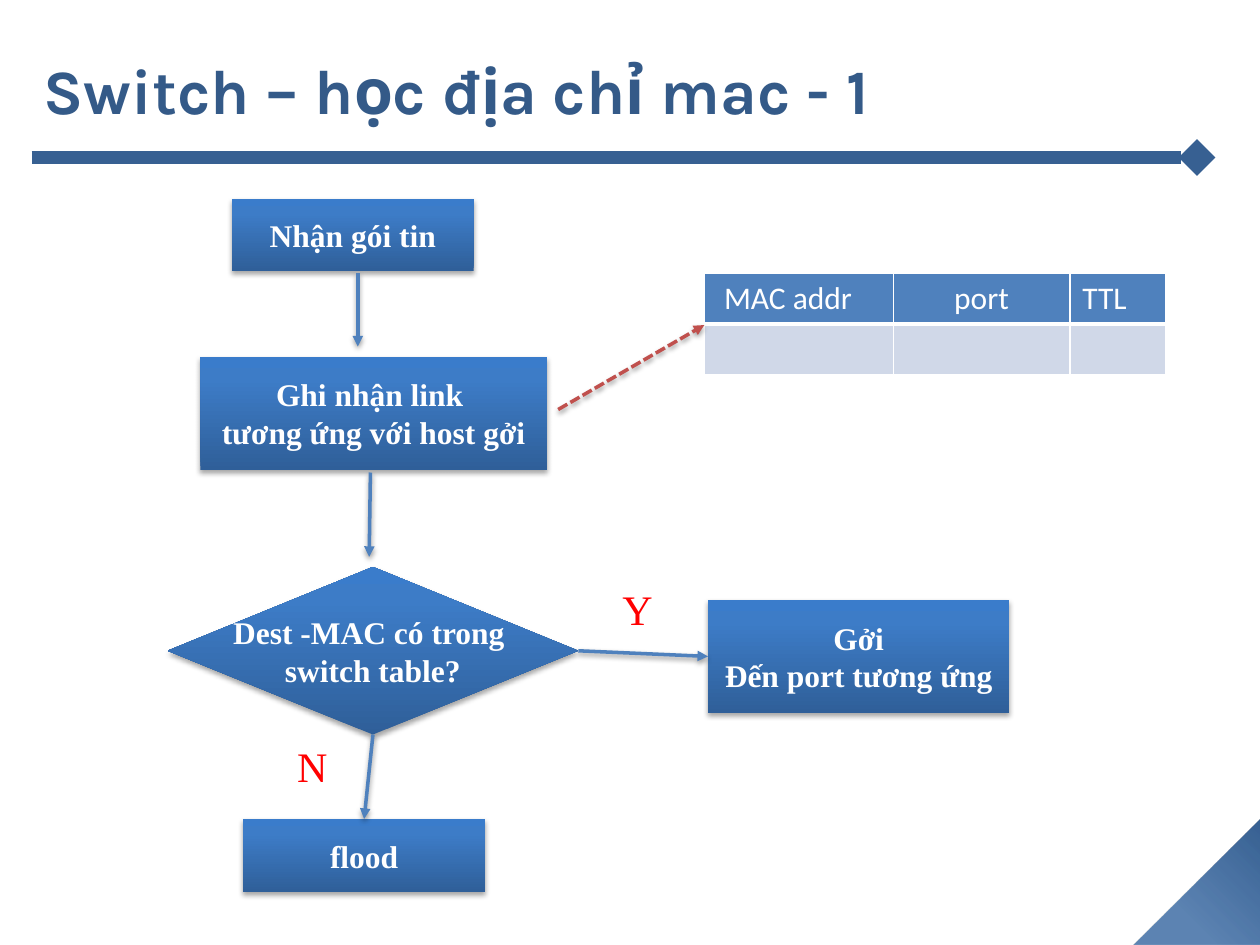
from typing import NamedTuple, Optional

from lxml import etree
from pptx import Presentation
from pptx.dml.color import RGBColor
from pptx.enum.dml import MSO_LINE
from pptx.enum.shapes import MSO_CONNECTOR, MSO_SHAPE
from pptx.enum.text import MSO_ANCHOR, MSO_AUTO_SIZE, PP_ALIGN
from pptx.oxml import parse_xml
from pptx.oxml.ns import nsdecls, qn
from pptx.util import Inches, Pt

RECT, DIAMOND = MSO_SHAPE.RECTANGLE, MSO_SHAPE.DIAMOND
CORNER = MSO_SHAPE.RIGHT_TRIANGLE
STRAIGHT = MSO_CONNECTOR.STRAIGHT
DASHED = MSO_LINE.SQUARE_DOT
MIDDLE = MSO_ANCHOR.MIDDLE
LEFT, CENTER = PP_ALIGN.LEFT, PP_ALIGN.CENTER
TOP_SIDE, LEFT_SIDE, BOTTOM_SIDE, RIGHT_SIDE = range(4)

SERIF = "Times New Roman"
COLORS = {
    "title": "345A88",
    "rule": "376092",
    "corner_light": "3D6CA4",
    "step_dark": "2F5F99",
    "step_mid": "3D7CC7",
    "step_light": "3A7CCB",
    "arrow": "4F81BD",
    "table_arrow": "C0504D",
    "answer": "FF0000",
    "header": "4F81BD",
    "row": "D0D8E8",
    "white": "FFFFFF",
    "shadow": "000000",
}


class Step(NamedTuple):
    left: float
    top: float
    width: float
    height: float
    lines: tuple[str, ...]
    preset: int = RECT


class Arrow(NamedTuple):
    start: tuple[float, float]
    end: tuple[float, float]
    color: str = "arrow"
    dashed: bool = False
    source: Optional[tuple[str, int]] = None
    target: Optional[tuple[str, int]] = None


class Column(NamedTuple):
    heading: str
    width: float
    align: int = LEFT


STEPS = {
    "receive": Step(1.84, 1.58, 1.92, 0.57, ("Nhận gói tin",)),
    "flood": Step(1.93, 6.5, 1.92, 0.58, ("flood",)),
    "forward": Step(5.62, 4.76, 2.39, 0.9, ("Gởi", "Đến port tương ứng")),
    "lookup": Step(1.33, 4.5, 3.26, 1.33,
                   ("Dest -MAC có trong ", "switch table?"), DIAMOND),
    "learn": Step(1.59, 2.83, 2.75, 0.9,
                  ("Ghi nhận link ", "tương ứng với host gởi")),
}
ARROWS = (
    Arrow((2.93, 5.83), (2.92, 6.5),
          source=("lookup", BOTTOM_SIDE), target=("flood", TOP_SIDE)),
    Arrow((4.58, 5.17), (5.61, 5.17),
          source=("lookup", RIGHT_SIDE), target=("forward", LEFT_SIDE)),
    Arrow((2.94, 3.75), (2.93, 4.42)),
    Arrow((2.84, 2.17), (2.84, 2.75)),
    Arrow((4.43, 3.25), (5.59, 2.58), "table_arrow", dashed=True),
)
ANSWERS = {"N": (2.26, 5.83), "Y": (4.84, 4.58)}
COLUMNS = (Column(" MAC addr", 1.5), Column("port", 1.4, CENTER), Column("TTL", 0.76))
ROW_HEIGHT = 0.4


def rgb(name: str) -> RGBColor:
    return RGBColor.from_string(COLORS[name])


def set_font(paragraph, face: str, size: int, color: str, bold: bool = False) -> None:
    font = paragraph.font
    font.name, font.size, font.bold = face, Pt(size), bold
    font.color.rgb = rgb(color)


def set_gradient(shape, stops, direction: str) -> None:
    """Fill with (position %, colour name, opacity %) stops along a direction element."""
    stop_xml = "".join(
        f'<a:gs pos="{pos * 1000}"><a:srgbClr val="{COLORS[color]}">'
        f'<a:alpha val="{opacity * 1000}"/></a:srgbClr></a:gs>'
        for pos, color, opacity in stops)
    gradient = parse_xml(f'<a:gradFill {nsdecls("a")} rotWithShape="1">'
                         f'<a:gsLst>{stop_xml}</a:gsLst>{direction}</a:gradFill>')
    shape.fill.background()
    properties = shape._element.spPr
    properties.replace(properties.find(qn("a:noFill")), gradient)


def add_shadow(properties, opacity: int, distance: float) -> None:
    properties.append(parse_xml(
        f'<a:effectLst {nsdecls("a")}><a:outerShdw blurRad="{Pt(3.1)}" '
        f'dist="{Pt(distance)}" dir="5400000" rotWithShape="0">'
        f'<a:srgbClr val="{COLORS["shadow"]}"><a:alpha val="{opacity * 1000}"/>'
        '</a:srgbClr></a:outerShdw></a:effectLst>'))


def add_line(slide, start, end, color: str, width: float, head: str):
    line = slide.shapes.add_connector(STRAIGHT, *map(Inches, start + end))
    line.line.color.rgb = rgb(color)
    line.line.width = Pt(width)
    etree.SubElement(line.line._get_or_add_ln(), qn("a:tailEnd"), type=head)
    return line


def add_step(slide, step: Step):
    shape = slide.shapes.add_shape(step.preset, *map(Inches, step[:4]))
    set_gradient(shape, ((0, "step_dark", 100), (80, "step_mid", 100),
                         (100, "step_light", 100)), '<a:lin ang="16200000" scaled="0"/>')
    shape.line.fill.background()
    add_shadow(shape._element.spPr, 35, 1.8)
    frame = shape.text_frame
    frame.word_wrap, frame.vertical_anchor = False, MIDDLE
    for index, text in enumerate(step.lines):
        paragraph = frame.add_paragraph() if index else frame.paragraphs[0]
        paragraph.text, paragraph.alignment = text, CENTER
        set_font(paragraph, SERIF, 18, "white", bold=True)
    return shape


def add_arrow(slide, arrow: Arrow, steps: dict) -> None:
    line = add_line(slide, arrow.start, arrow.end, arrow.color, 2, "triangle")
    if arrow.dashed:
        line.line.dash_style = DASHED
    add_shadow(line._element.spPr, 38, 1.6)
    if arrow.source:
        step, side = arrow.source
        line.begin_connect(steps[step], side)
    if arrow.target:
        step, side = arrow.target
        line.end_connect(steps[step], side)


def add_text(slide, text: str, box, face: str, size: int, color: str, bold=False):
    frame = slide.shapes.add_textbox(*map(Inches, box)).text_frame
    frame.text = text
    set_font(frame.paragraphs[0], face, size, color, bold)
    return frame


def set_borders(cell, bottom: float) -> None:
    properties = cell._tc.get_or_add_tcPr()
    for index, (side, width) in enumerate(zip("LRTB", (1, 1, 1, bottom))):
        properties.insert(index, parse_xml(
            f'<a:ln{side} {nsdecls("a")} w="{Pt(width)}"><a:solidFill>'
            f'<a:srgbClr val="{COLORS["white"]}"/></a:solidFill></a:ln{side}>'))


def add_mac_table(slide) -> None:
    total = sum(column.width for column in COLUMNS)
    table = slide.shapes.add_table(2, len(COLUMNS), Inches(5.59), Inches(2.17),
                                   Inches(total), Inches(2 * ROW_HEIGHT)).table
    for index, column in enumerate(COLUMNS):
        table.columns[index].width = Inches(column.width)
        heading, entry = table.cell(0, index), table.cell(1, index)
        heading.text = column.heading
        paragraph = heading.text_frame.paragraphs[0]
        paragraph.alignment = column.align
        set_font(paragraph, "Calibri", 18, "white")
        for cell, color, bottom in ((heading, "header", 3), (entry, "row", 1)):
            cell.fill.solid()
            cell.fill.fore_color.rgb = rgb(color)
            set_borders(cell, bottom)


def add_frame(slide) -> None:
    """Draw the corner triangle, the title and the rule below it."""
    corner = slide.shapes.add_shape(CORNER, Inches(9), Inches(6.5), Inches(1), Inches(1))
    corner.rotation = 270
    set_gradient(corner, ((0, "rule", 100), (68, "corner_light", 83)),
                 '<a:path path="circle"><a:fillToRect l="100000" b="100000"/></a:path>')
    corner.line.fill.background()
    corner.shadow.inherit = False
    rule = add_line(slide, (0.25, 1.25), (9.5, 1.25), "rule", 7, "diamond")
    etree.SubElement(rule._element.spPr, qn("a:effectLst"))
    title = add_text(slide, "Switch – học địa chỉ mac - 1", (0.25, 0.08, 9.57, 1.25),
                     "Karla", 36, "title", bold=True)
    title.word_wrap, title.vertical_anchor = True, MIDDLE


def main() -> None:
    deck = Presentation()
    deck.slide_width, deck.slide_height = Inches(10), Inches(7.5)
    slide = deck.slides.add_slide(deck.slide_layouts[6])
    add_frame(slide)
    add_mac_table(slide)
    steps = {key: add_step(slide, step) for key, step in STEPS.items()}
    for arrow in ARROWS:
        add_arrow(slide, arrow, steps)
    for answer, corner in ANSWERS.items():
        frame = add_text(slide, answer, corner + (0.45, 0.5), SERIF, 24, "answer")
        frame.word_wrap, frame.auto_size = False, MSO_AUTO_SIZE.SHAPE_TO_FIT_TEXT
    deck.save("out.pptx")


if __name__ == "__main__":
    main()
